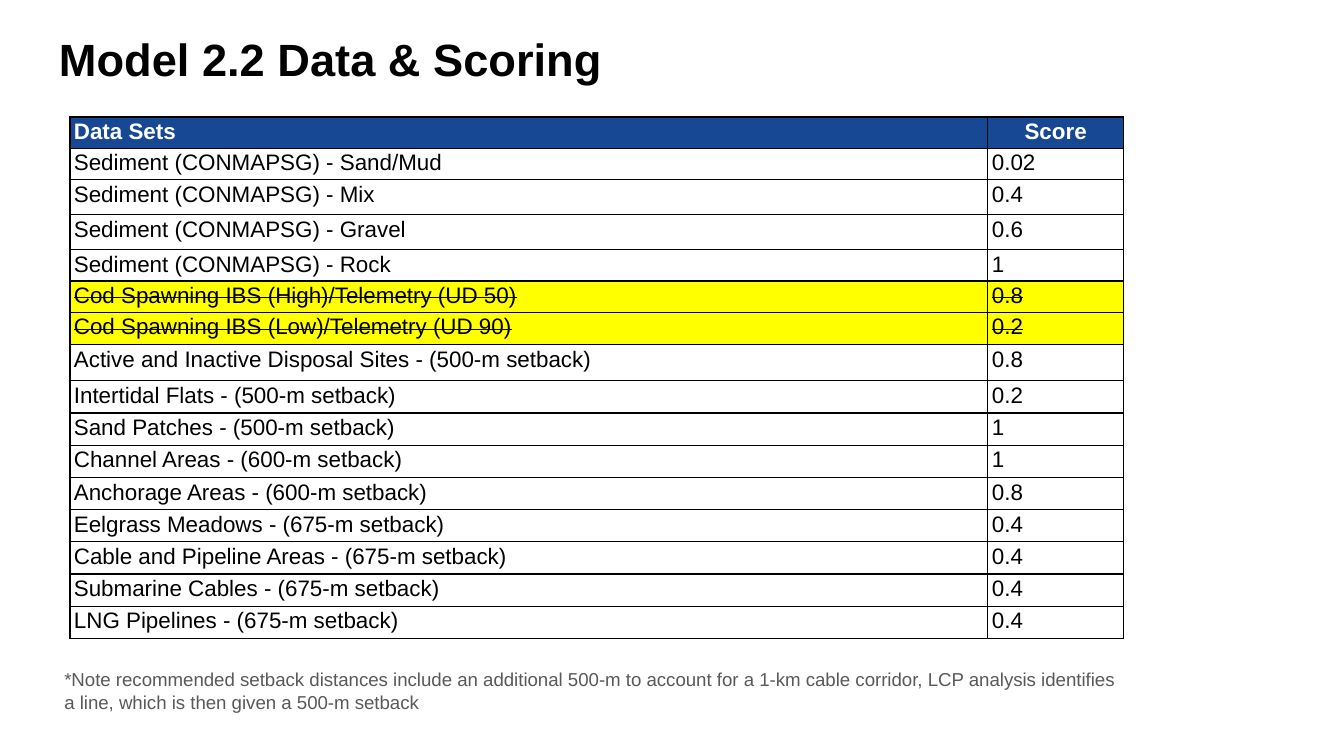
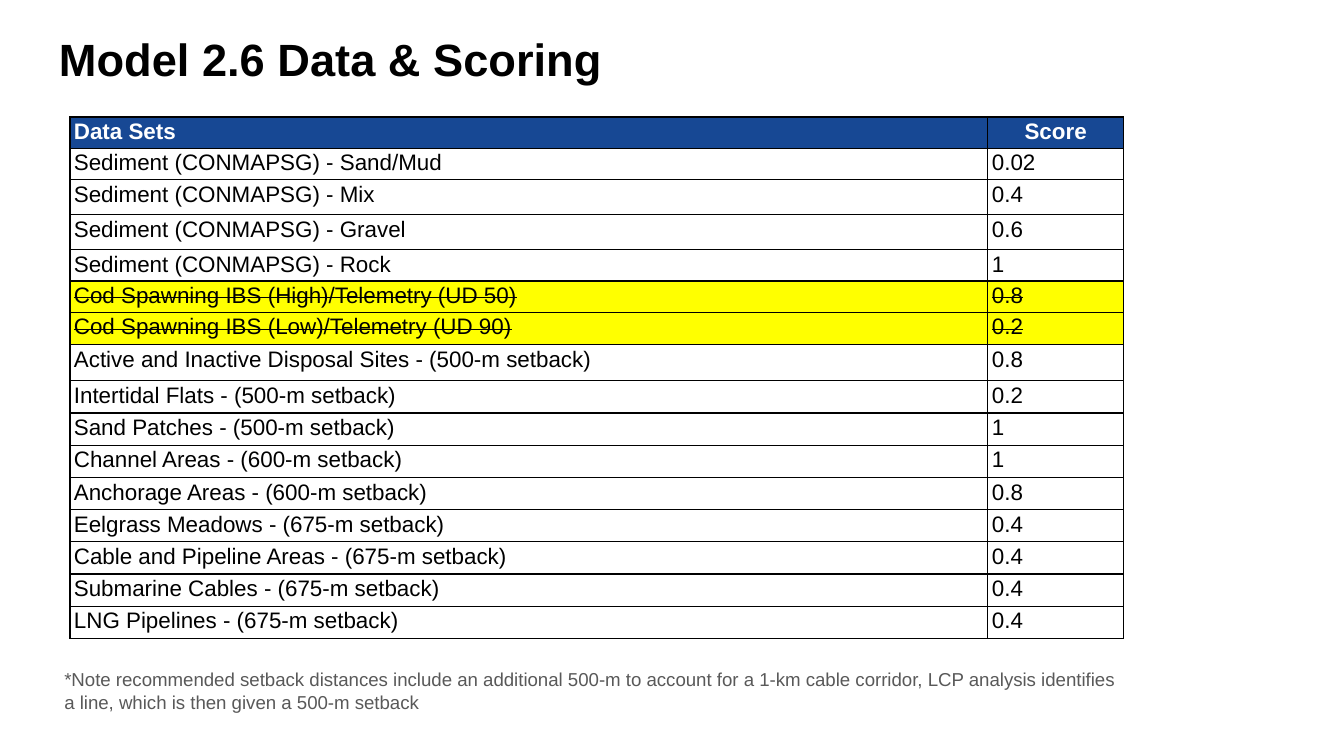
import dataclasses
import typing

import pptx
import pptx.dml.color
import pptx.enum.text
import pptx.oxml
import pptx.oxml.ns
import pptx.util
from pptx.util import Inches

ALIGN = pptx.enum.text.PP_ALIGN
ANCHOR = pptx.enum.text.MSO_ANCHOR


# Theme
@dataclasses.dataclass(frozen=True)
class Theme:
    font: str = "Arial"
    ink: str = "000000"
    note_ink: str = "595959"
    header_ink: str = "FFFFFF"
    header_fill: str = "174894"
    removed_fill: str = "FFFF00"
    title_size: float = 24.2
    table_size: float = 12
    note_size: float = 10
    border_width: float = 0.75


THEME = Theme()


@dataclasses.dataclass(frozen=True)
class TextStyle:
    size: float
    color: str
    bold: bool = False
    strike: bool = False
    align: typing.Any = ALIGN.LEFT


@dataclasses.dataclass(frozen=True)
class TextArea:
    left: float
    top: float
    width: float
    height: float
    style: TextStyle
    anchor: typing.Any = ANCHOR.TOP


@dataclasses.dataclass(frozen=True)
class ScoreRow:
    name: str
    score: str
    height: float = 0.24
    removed: bool = False


# Shared layout: a 16:9 page
PAGE_WIDTH = Inches(10)
PAGE_HEIGHT = PAGE_WIDTH * 9 // 16
TITLE = TextArea(0.34, 0.12, 9.32, 0.63,
                 TextStyle(THEME.title_size, THEME.ink, bold=True), ANCHOR.MIDDLE)
NOTE = TextArea(0.38, 4.87, 8.02, 0.81, TextStyle(THEME.note_size, THEME.note_ink))
TABLE_LEFT, TABLE_TOP = 0.52, 0.87
COLUMN_WIDTHS = (6.83, 1.01)
CELL_SIDE = Inches(0.03)
CELL_EDGE = Inches(1.2 / 72)

# Content
MODELS = ("2.2", "2.6")
HEADER = ScoreRow("Data Sets", "Score", 0.21)
ROWS = (
    ScoreRow("Sediment (CONMAPSG) - Sand/Mud", "0.02", 0.23),
    ScoreRow("Sediment (CONMAPSG) - Mix", "0.4", 0.26),
    ScoreRow("Sediment (CONMAPSG) - Gravel", "0.6", 0.26),
    ScoreRow("Sediment (CONMAPSG) - Rock", "1", 0.22),
    ScoreRow("Cod Spawning IBS (High)/Telemetry (UD 50)", "0.8", 0.23, removed=True),
    ScoreRow("Cod Spawning IBS (Low)/Telemetry (UD 90)", "0.2", removed=True),
    ScoreRow("Active and Inactive Disposal Sites - (500-m setback)", "0.8", 0.27),
    ScoreRow("Intertidal Flats - (500-m setback)", "0.2"),
    ScoreRow("Sand Patches - (500-m setback)", "1"),
    ScoreRow("Channel Areas - (600-m setback)", "1"),
    ScoreRow("Anchorage Areas - (600-m setback)", "0.8"),
    ScoreRow("Eelgrass Meadows - (675-m setback)", "0.4"),
    ScoreRow("Cable and Pipeline Areas - (675-m setback)", "0.4"),
    ScoreRow("Submarine Cables - (675-m setback)", "0.4"),
    ScoreRow("LNG Pipelines - (675-m setback)", "0.4"),
)
NOTE_TEXT = (
    "*Note recommended setback distances include an additional 500-m to account "
    "for a 1-km cable corridor, LCP analysis identifies a line, which is then "
    "given a 500-m setback"
)


# Drawing helpers
def apply_format(target: typing.Any, values: dict[str, typing.Any]) -> None:
    for name, value in values.items():
        setattr(target, name, value)


def write_text(frame: typing.Any, text: str, style: TextStyle) -> None:
    para = frame.paragraphs[0]
    para.alignment = style.align
    span = para.add_run()
    span.text = text
    apply_format(span.font, {
        "name": THEME.font,
        "size": pptx.util.Pt(style.size),
        "bold": style.bold,
    })
    span.font.color.rgb = pptx.dml.color.RGBColor.from_string(style.color)
    if style.strike:
        span._r.get_or_add_rPr().set("strike", "sngStrike")


def add_text(page: typing.Any, text: str, area: TextArea) -> None:
    box = page.shapes.add_textbox(
        Inches(area.left), Inches(area.top), Inches(area.width), Inches(area.height))
    margins = {f"margin_{side}": Inches(0.1) for side in ("left", "top", "right", "bottom")}
    apply_format(box.text_frame,
                 {"word_wrap": True, "vertical_anchor": area.anchor, **margins})
    write_text(box.text_frame, text, area.style)


def add_borders(cell: typing.Any) -> None:
    properties = cell._tc.get_or_add_tcPr()
    width = int(pptx.util.Pt(THEME.border_width))
    for side in ("lnL", "lnR", "lnT", "lnB"):
        properties.append(pptx.oxml.parse_xml(
            f'<a:{side} {pptx.oxml.ns.nsdecls("a")} w="{width}"><a:solidFill>'
            f'<a:srgbClr val="{THEME.ink}"/></a:solidFill></a:{side}>'))


def fill_cell(cell: typing.Any, text: str, style: TextStyle, fill: str | None) -> None:
    apply_format(cell, {
        "margin_left": CELL_SIDE,
        "margin_right": CELL_SIDE,
        "margin_top": CELL_EDGE,
        "margin_bottom": CELL_EDGE,
        "vertical_anchor": ANCHOR.TOP,
    })
    add_borders(cell)
    if fill:
        cell.fill.solid()
        cell.fill.fore_color.rgb = pptx.dml.color.RGBColor.from_string(fill)
    else:
        cell.fill.background()
    write_text(cell.text_frame, text, style)


def add_score_table(page: typing.Any) -> None:
    rows = (HEADER, *ROWS)
    table = page.shapes.add_table(
        len(rows), len(COLUMN_WIDTHS), Inches(TABLE_LEFT), Inches(TABLE_TOP),
        Inches(sum(COLUMN_WIDTHS)), Inches(sum(row.height for row in rows))).table
    apply_format(table, {"first_row": False, "horz_banding": False})
    for column, width in zip(table.columns, COLUMN_WIDTHS):
        column.width = Inches(width)

    for row_index, row in enumerate(rows):
        table.rows[row_index].height = Inches(row.height)
        if row is HEADER:
            style = TextStyle(THEME.table_size, THEME.header_ink, bold=True)
            fill = THEME.header_fill
        else:
            style = TextStyle(THEME.table_size, THEME.ink, strike=row.removed)
            fill = THEME.removed_fill if row.removed else None
        score_align = ALIGN.CENTER if row is HEADER else ALIGN.LEFT
        score_style = dataclasses.replace(style, align=score_align)
        fill_cell(table.cell(row_index, 0), row.name, style, fill)
        fill_cell(table.cell(row_index, 1), row.score, score_style, fill)


# Deck
def main() -> None:
    deck = pptx.Presentation()
    apply_format(deck, {"slide_width": PAGE_WIDTH, "slide_height": PAGE_HEIGHT})
    for model in MODELS:
        page = deck.slides.add_slide(deck.slide_layouts[6])
        add_text(page, f"Model {model} Data & Scoring", TITLE)
        add_score_table(page)
        add_text(page, NOTE_TEXT, NOTE)
    deck.save("out.pptx")


if __name__ == "__main__":
    main()
